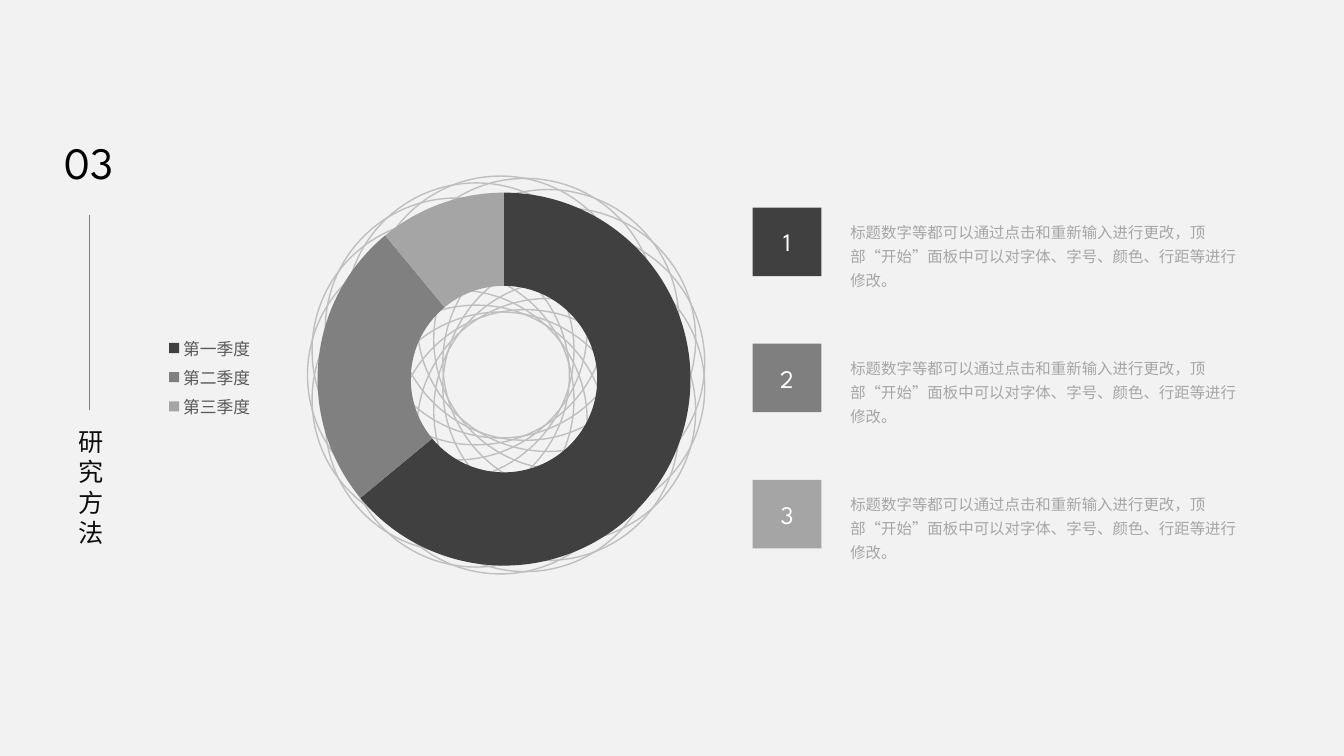
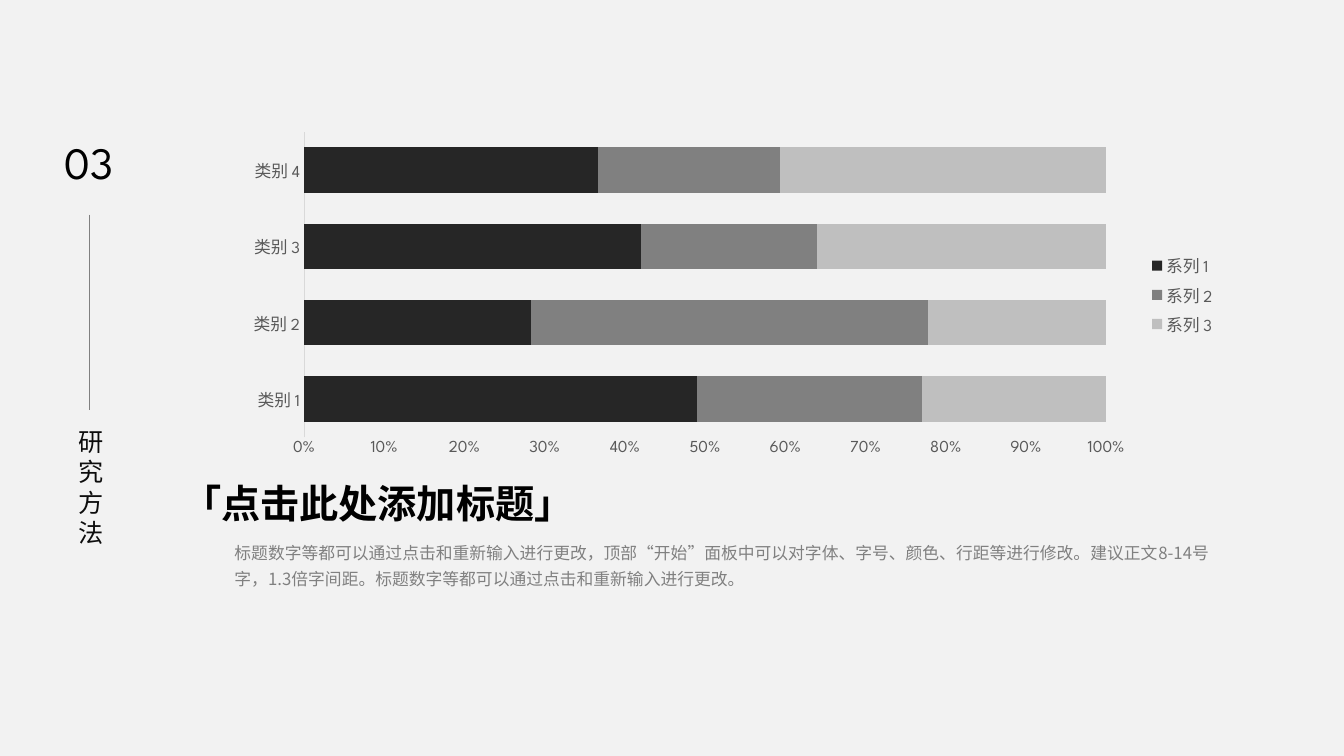
import math

import pptx
import pptx.chart.data
import pptx.dml.color
import pptx.enum.chart
import pptx.enum.shapes
import pptx.enum.text
import pptx.oxml
import pptx.oxml.ns
import pptx.util
from pptx.util import Cm, Pt

HEADING_FONT = "League Spartan"
BODY_FONT = "Noto Sans CJK SC"
ALIGN = pptx.enum.text.PP_ALIGN
ANCHOR = pptx.enum.text.MSO_ANCHOR
SHAPE = pptx.enum.shapes.MSO_SHAPE
CHART = pptx.enum.chart
qn = pptx.oxml.ns.qn
color = pptx.dml.color.RGBColor.from_string


def write(shape, text, size, hue, font=HEADING_FONT, bold=False, align=ALIGN.LEFT,
          anchor=ANCHOR.TOP, spacing=1.0, wrap=True):
    frame = shape.text_frame
    frame.text = text
    frame.word_wrap = wrap
    frame.auto_size = pptx.enum.text.MSO_AUTO_SIZE.NONE
    frame.vertical_anchor = anchor
    paragraph = frame.paragraphs[0]
    paragraph.alignment = align
    paragraph.line_spacing = spacing
    run = paragraph.runs[0]
    run.font.size = Pt(size)
    run.font.bold = bold
    run.font.name = font
    run.font.color.rgb = color(hue)
    east_asian = pptx.oxml.parse_xml(
        f'<a:ea {pptx.oxml.ns.nsdecls("a")} typeface="{font}"/>')
    run.font._element.find(qn("a:latin")).addnext(east_asian)


def style_chart(chart, legend_position, x, y, width, height):
    chart.has_title = False
    chart.font.name = HEADING_FONT
    chart.font.size = Pt(12)
    chart.font.color.rgb = color("595959")
    chart.has_legend = True
    chart.legend.position = legend_position
    chart.legend.include_in_layout = False
    chart.legend.font.name = HEADING_FONT
    chart.legend.font.size = Pt(12)
    chart.legend.font.color.rgb = color("595959")
    chart.element.find(qn("c:chart")).addnext(pptx.oxml.parse_xml(
        f'<c:spPr {pptx.oxml.ns.nsdecls("c", "a")}><a:noFill/><a:ln><a:noFill/></a:ln></c:spPr>'))
    plot_area = chart.element.find(qn("c:chart")).find(qn("c:plotArea"))
    old_layout = plot_area.find(qn("c:layout"))
    if old_layout is not None:
        plot_area.remove(old_layout)
    plot_area.insert(0, pptx.oxml.parse_xml(
        f'<c:layout {pptx.oxml.ns.nsdecls("c")}><c:manualLayout>'
        '<c:layoutTarget val="inner"/><c:xMode val="edge"/><c:yMode val="edge"/>'
        f'<c:x val="{x}"/><c:y val="{y}"/><c:w val="{width}"/><c:h val="{height}"/>'
        '</c:manualLayout></c:layout>'))


presentation = pptx.Presentation()
presentation.slide_width = Cm(33.87)
presentation.slide_height = Cm(19.05)
background = presentation.slide_master.background.fill
background.solid()
background.fore_color.rgb = color("F2F2F2")

slides = []
for number in range(2):
    slide = presentation.slides.add_slide(presentation.slide_layouts[5])
    title = slide.shapes.title
    title.left, title.top, title.width, title.height = Cm(1.73), Cm(10.62), Cm(1.04), Cm(3.33)
    write(title, "研究方法", 18, "0D0D0D")
    section = slide.shapes.add_textbox(Cm(1.35), Cm(3.28), Cm(1.78), Cm(1.63))
    write(section, "03", 32, "000000", align=ALIGN.CENTER, wrap=False)
    divider = slide.shapes.add_connector(
        pptx.enum.shapes.MSO_CONNECTOR.STRAIGHT, Cm(2.25), Cm(5.41), Cm(2.25), Cm(10.34))
    divider.line.color.rgb = color("808080")
    divider.line.width = Pt(0.5)
    divider._element.spPr.append(
        pptx.oxml.parse_xml(f'<a:effectLst {pptx.oxml.ns.nsdecls("a")}/>'))
    slides.append(slide)
doughnut_slide, bar_slide = slides

RING_COUNT, RING_SIZE, ORBIT = 17, 6.6, 1.72
rings = doughnut_slide.shapes.add_group_shape()
for index in range(RING_COUNT):
    angle = math.pi + 2 * math.pi * index / RING_COUNT
    left = 12.77 + ORBIT * math.cos(angle) - RING_SIZE / 2
    top = 9.45 + ORBIT * math.sin(angle) - RING_SIZE / 2
    ring = rings.shapes.add_shape(SHAPE.OVAL, Cm(left), Cm(top), Cm(RING_SIZE), Cm(RING_SIZE))
    ring.shadow.inherit = False
    ring.fill.background()
    ring.line.color.rgb = color("BFBFBF")
    ring.line.width = Pt(1)

quarters = pptx.chart.data.CategoryChartData()
quarters.categories = ["第一季度", "第二季度", "第三季度"]
quarters.add_series("Series 1", (64, 25, 11))
doughnut = doughnut_slide.shapes.add_chart(
    CHART.XL_CHART_TYPE.DOUGHNUT, Cm(3.91), Cm(4.45), Cm(15.16), Cm(10.11), quarters).chart
style_chart(doughnut, CHART.XL_LEGEND_POSITION.LEFT, 0.27, 0.04, 0.62, 0.93)
doughnut.plots[0].vary_by_categories = True
doughnut.element.find(".//" + qn("c:holeSize")).set("val", "62")
for index, hue in enumerate(("404040", "808080", "A5A5A5")):
    point = doughnut.plots[0].series[0].points[index]
    point.format.fill.solid()
    point.format.fill.fore_color.rgb = color(hue)
    point.format.line.fill.background()

for index, hue in enumerate(("404040", "7F7F7F", "A5A5A5")):
    top = 5.23 + 3.43 * index
    badge = doughnut_slide.shapes.add_shape(
        SHAPE.RECTANGLE, Cm(18.97), Cm(top), Cm(1.73), Cm(1.73))
    badge.shadow.inherit = False
    badge.fill.solid()
    badge.fill.fore_color.rgb = color(hue)
    badge.line.fill.background()
    write(badge, str(index + 1), 18, "FFFFFF", align=ALIGN.CENTER, anchor=ANCHOR.MIDDLE)
    note = doughnut_slide.shapes.add_textbox(Cm(21.18), Cm(top + 0.12), Cm(10.62), Cm(1.47))
    write(note, "标题数字等都可以通过点击和重新输入进行更改，顶部“开始”面板中可以对字体、字号、颜色、行距等进行修改。",
          11, "A6A6A6", font=BODY_FONT, spacing=1.3)

shares = pptx.chart.data.CategoryChartData()
shares.categories = [f"类别 {number}" for number in range(1, 5)]
shares.add_series("系列 1", (49, 28, 42, 37))
shares.add_series("系列 2", (28, 49, 22, 23))
shares.add_series("系列 3", (23, 22, 36, 41))
bars = bar_slide.shapes.add_chart(
    CHART.XL_CHART_TYPE.BAR_STACKED_100, Cm(5.64), Cm(3.15), Cm(25.27), Cm(8.56), shares).chart
style_chart(bars, CHART.XL_LEGEND_POSITION.RIGHT, 0.08, 0.02, 0.8, 0.9)
plot = bars.plots[0]
plot.vary_by_categories = False
plot.gap_width = 68
plot.overlap = 100
for series, hue in zip(plot.series, ("262626", "808080", "BFBFBF")):
    series.format.fill.solid()
    series.format.fill.fore_color.rgb = color(hue)
for axis in (bars.category_axis, bars.value_axis):
    axis.has_major_gridlines = False
    axis.major_tick_mark = CHART.XL_TICK_MARK.NONE
    axis.minor_tick_mark = CHART.XL_TICK_MARK.NONE
    axis.tick_labels.font.name = HEADING_FONT
    axis.tick_labels.font.size = Pt(12)
    axis.tick_labels.font.color.rgb = color("595959")
bars.category_axis.format.line.color.rgb = color("D9D9D9")
bars.category_axis.format.line.width = Pt(0.75)
bars.value_axis.format.line.fill.background()
bars.value_axis.major_unit = 0.1
bars.value_axis.tick_labels.number_format = "0%"
bars.value_axis.tick_labels.number_format_is_linked = False

headline = bar_slide.shapes.add_textbox(Cm(4.34), Cm(11.96), Cm(11.51), Cm(1.45))
write(headline, "「点击此处添加标题」", 28, "000000", font=BODY_FONT, bold=True)
description = bar_slide.shapes.add_textbox(Cm(5.66), Cm(13.39), Cm(25.25), Cm(1.6))
write(description, "标题数字等都可以通过点击和重新输入进行更改，顶部“开始”面板中可以对字体、字号、颜色、行距等进行修改。"
      "建议正文8-14号字，1.3倍字间距。标题数字等都可以通过点击和重新输入进行更改。",
      12, "808080", font=BODY_FONT, spacing=1.3)

presentation.save("out.pptx")
